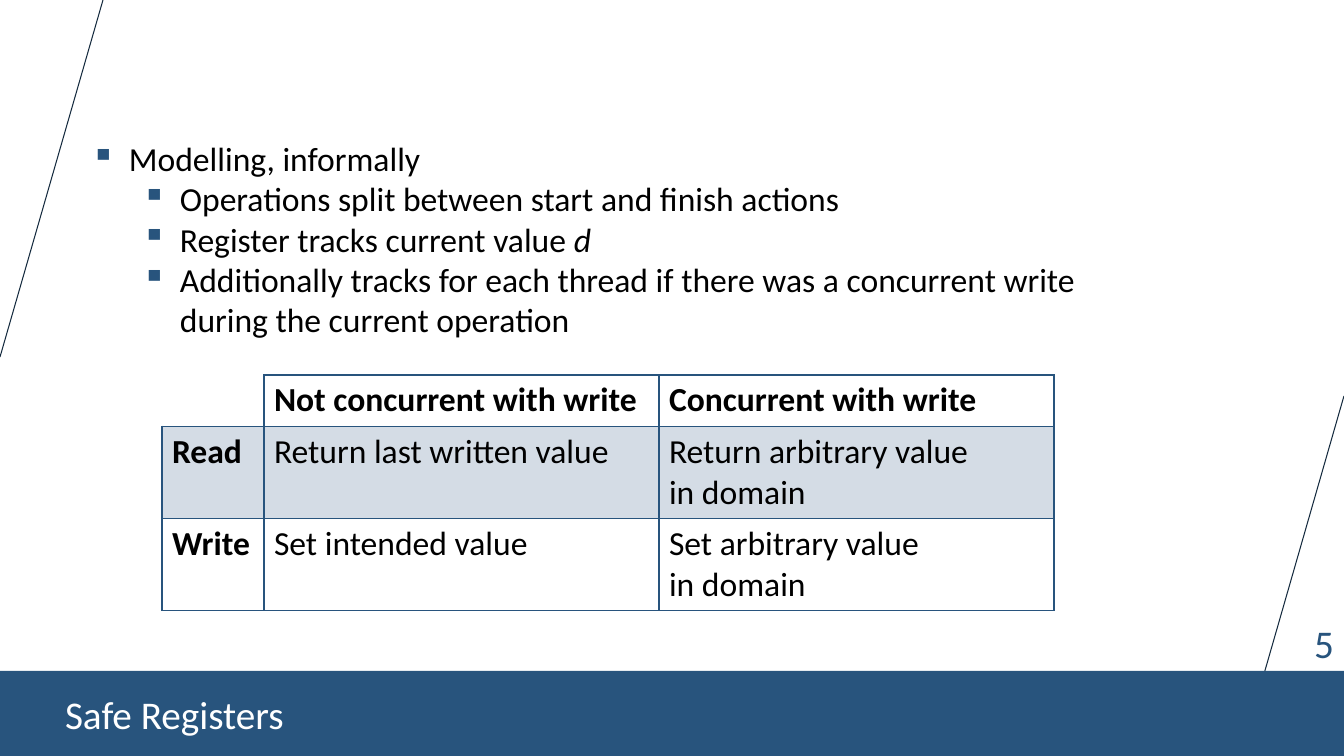
import lxml.etree
import pptx
import pptx.dml.color
import pptx.enum.shapes
import pptx.enum.text
import pptx.oxml.ns
import pptx.util

SCALE = 914400 / 100.8
INK = {"blue": "28547D", "navy": "142A3E", "white": "FFFFFF", "black": "000000"}
FONT = "Calibri"
ALIGN = pptx.enum.text.PP_ALIGN
ANCHOR = pptx.enum.text.MSO_ANCHOR
POINTS = [
    (0, "Modelling, informally"),
    (1, "Operations split between start and finish actions"),
    (1, "Register tracks current value ", "d"),
    (1, "Additionally tracks for each thread if there was a concurrent write"
        " during the current operation"),
]
GRID = [
    ["", "Not concurrent with write", "Concurrent with write"],
    ["Read", "Return last written value", "Return arbitrary value\nin domain"],
    ["Write", "Set intended value", "Set arbitrary value\nin domain"],
]


def px(size):
    """Turn pixels into EMU."""
    return pptx.util.Emu(round(size * SCALE))


def tone(name):
    """Return a named colour."""
    return pptx.dml.color.RGBColor.from_string(INK[name])


def node(root, tag, **attrs):
    """Add a drawing element under root."""
    return lxml.etree.SubElement(root, pptx.oxml.ns.qn("a:" + tag), attrs)


def bullet(para, level):
    """Give a paragraph a square bullet and a hanging indent."""
    para.level = level
    props = para._p.get_or_add_pPr()
    props.set("marL", str(px(38 + 51 * level)))
    props.set("indent", str(px(-38)))
    node(node(props, "buClr"), "srgbClr", val=INK["blue"])
    node(props, "buChar", char="▪")


def write(frame, lines, size=24, ink="black", bold=False, align=ALIGN.LEFT,
          marks=False):
    """Fill a frame; each line is a level, a plain run and maybe an italic run."""
    for row, (level, *runs) in enumerate(lines):
        para = frame.add_paragraph() if row else frame.paragraphs[0]
        para.alignment = align
        if marks:
            bullet(para, level)
        for spot, text in enumerate(runs):
            run = para.add_run()
            run.text = text
            font = run.font
            font.name, font.size = FONT, pptx.util.Pt(size)
            font.bold, font.italic = bold, spot == 1
            font.color.rgb = tone(ink)


def slant(slide, left, top, width, height):
    """Draw a thin line from the top right to the bottom left of its box."""
    line = slide.shapes.add_connector(
        pptx.enum.shapes.MSO_CONNECTOR.STRAIGHT,
        px(left + width), px(top), px(left), px(top + height))
    line.line.color.rgb = tone("navy")
    line.line.width = pptx.util.Pt(0.75)
    node(line._element.spPr, "effectLst")


def label(slide, box, lines, wrap=True, **form):
    """Place a text box."""
    frame = slide.shapes.add_textbox(*map(px, box)).text_frame
    frame.word_wrap = wrap
    write(frame, lines, **form)


def banner(slide, left, top, width, height):
    """Turn the title into the bar at the foot of the slide."""
    bar = slide.shapes.title
    bar.element.getparent().append(bar.element)
    bar.left, bar.top, bar.width, bar.height = map(px, (left, top, width, height))
    bar.fill.solid()
    bar.fill.fore_color.rgb = tone("blue")
    frame = bar.text_frame
    frame.word_wrap = True
    frame.auto_size = pptx.enum.text.MSO_AUTO_SIZE.NONE
    frame.vertical_anchor = ANCHOR.MIDDLE
    frame.margin_left, frame.margin_right = px(65), px(10)
    frame.margin_top = frame.margin_bottom = 0
    write(frame, [(0, "Safe Registers")], size=28, ink="white")


def border(cell, sides):
    """Rule the given sides of a cell and clear the others."""
    props = cell._tc.get_or_add_tcPr()
    for spot, side in enumerate("LRTB"):
        line = node(props, "ln" + side, w=str(pptx.util.Pt(1)))
        if side in sides:
            node(node(line, "solidFill"), "srgbClr", val=INK["blue"])
        else:
            node(line, "noFill")
        props.insert(spot, line)


def shade(cell, tint):
    """Fill a cell with a pale blue or leave it clear."""
    if not tint:
        cell.fill.background()
        return
    cell.fill.solid()
    cell.fill.fore_color.rgb = tone("blue")
    color = cell._tc.tcPr.find(".//" + pptx.oxml.ns.qn("a:srgbClr"))
    node(color, "alpha", val="20000")


def matrix(slide, left, top, width, height):
    """Place the table of read and write results."""
    head, side = 51, 102
    table = slide.shapes.add_table(
        len(GRID), len(GRID[0]), *map(px, (left, top, width, height))).table
    table.first_row = table.horz_banding = False
    for col, part in enumerate(table.columns):
        part.width = px((width - side) / 2 if col else side)
    for row, part in enumerate(table.rows):
        part.height = px((height - head) / 2 if row else head)
    for row, texts in enumerate(GRID):
        for col, text in enumerate(texts):
            cell = table.cell(row, col)
            shade(cell, row == 1)
            border(cell, "LRTB" if text else "RB")
            if text:
                write(cell.text_frame, [(0, line) for line in text.split("\n")],
                      bold=row == 0 or col == 0)


def main():
    """Build the slide and save it."""
    deck = pptx.Presentation()
    deck.slide_width, deck.slide_height = px(1344), px(756)
    slide = deck.slides.add_slide(deck.slide_layouts.get_by_name("Title Only"))
    slant(slide, 0, 0, 103, 357)
    slant(slide, 1241, 396, 103, 358)
    label(slide, (1284, 614, 60, 57), [(0, "5")], wrap=False,
          size=28, ink="blue", align=ALIGN.RIGHT)
    label(slide, (81, 133, 1083, 295), POINTS, marks=True)
    banner(slide, 0, 671, 1344, 85)
    matrix(slide, 162, 375, 892, 235)
    deck.save("out.pptx")


if __name__ == "__main__":
    main()
